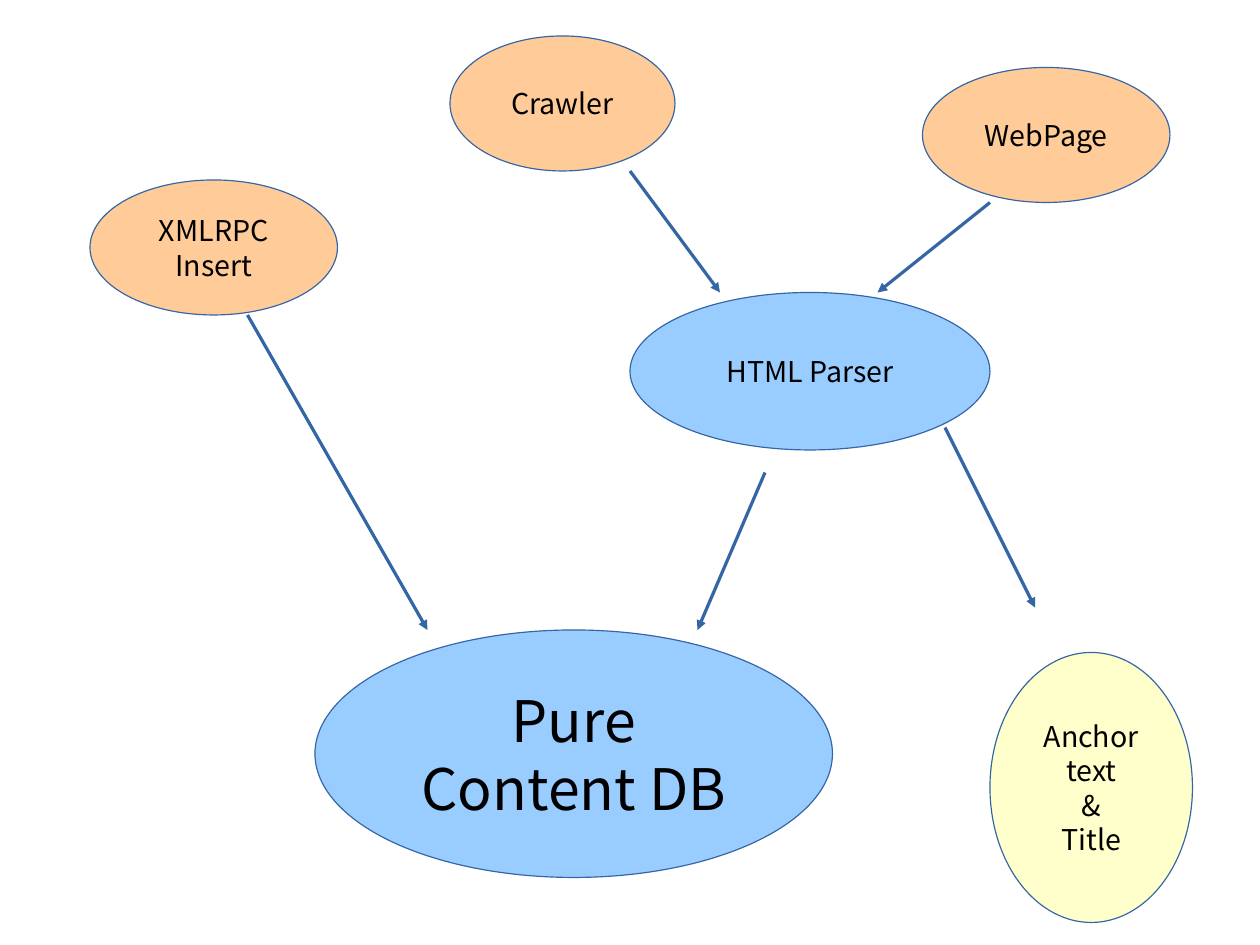
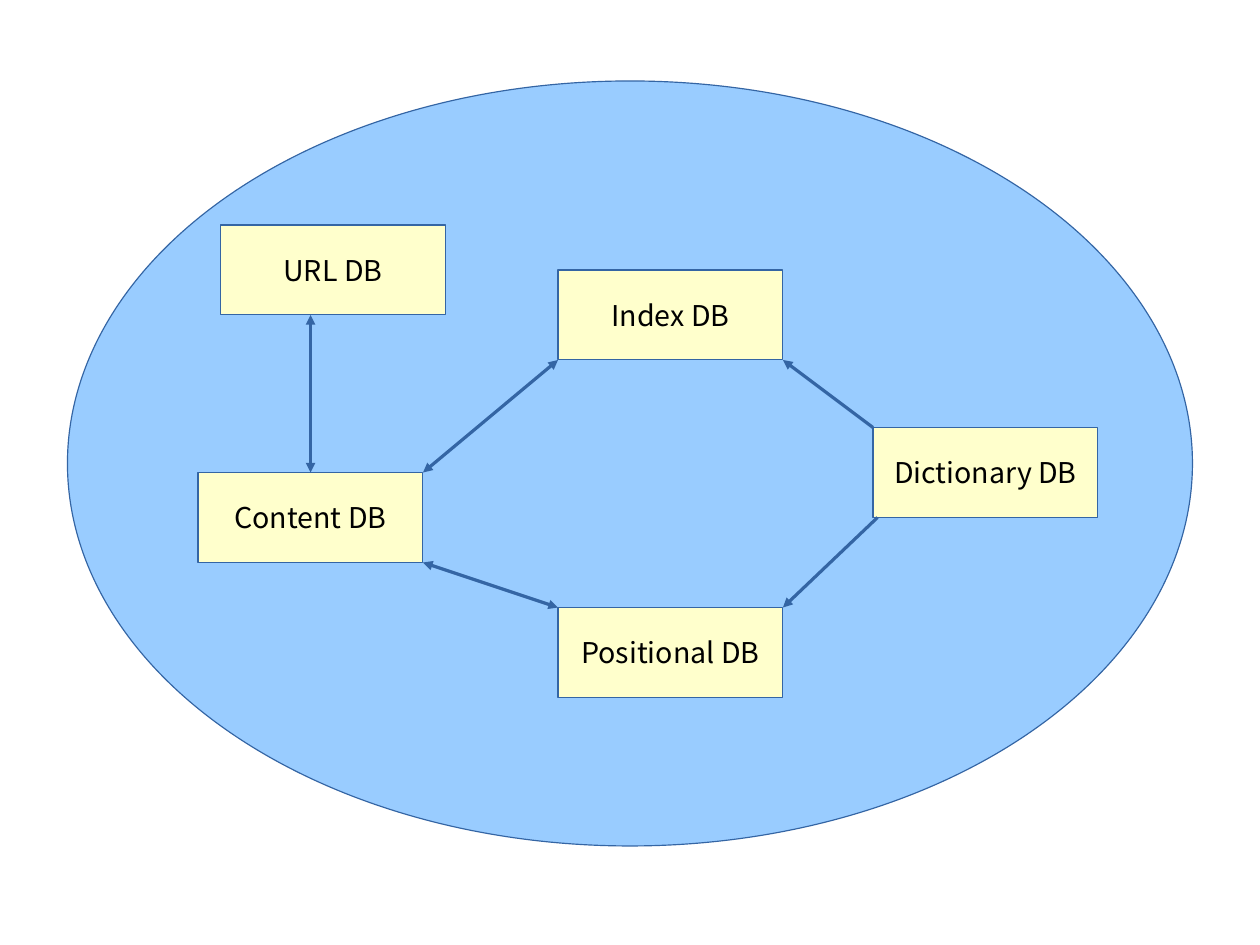
from pptx import Presentation
from pptx.dml.color import RGBColor
from pptx.enum.shapes import MSO_CONNECTOR, MSO_SHAPE
from pptx.enum.text import MSO_ANCHOR, PP_ALIGN
from pptx.oxml.ns import qn
from pptx.util import Cm, Pt
from lxml.etree import SubElement

ORANGE, BLUE, YELLOW = "FFCC99", "99CCFF", "FFFFCC"
OUTLINE, INK = "3465A4", "000000"
BOX_WIDTH, BOX_HEIGHT = 5, 2


def colour(value):
    return RGBColor.from_string(value)


def apply(target, values):
    for name, value in values.items():
        setattr(target, name, value)


class Diagram:
    frame_style = {"word_wrap": True, "vertical_anchor": MSO_ANCHOR.MIDDLE}
    font_style = {"name": "Noto Sans CJK SC"}

    def __init__(self, width, height):
        self.deck = Presentation()
        apply(self.deck, {"slide_width": Cm(width), "slide_height": Cm(height)})
        self.page = None

    def add_page(self):
        self.page = self.deck.slides.add_slide(self.deck.slide_layouts[6])

    def outline(self, line):
        line.fill.solid()
        line.fill.fore_color.rgb = colour(OUTLINE)
        line.width = Pt(0)

    def node(self, preset, place, fill, lines=(), size=18):
        box = self.page.shapes.add_shape(preset, *map(Cm, place))
        box.shadow.inherit = False
        box.fill.solid()
        box.fill.fore_color.rgb = colour(fill)
        self.outline(box.line)
        frame = box.text_frame
        apply(frame, self.frame_style)
        for index, text in enumerate(lines):
            para = frame.add_paragraph() if index else frame.paragraphs[0]
            para.alignment = PP_ALIGN.CENTER
            span = para.add_run()
            span.text = text
            apply(span.font, {**self.font_style, "size": Pt(size)})
            span.font.color.rgb = colour(INK)
        return box

    def ellipse(self, place, fill, *lines, size=18):
        return self.node(MSO_SHAPE.OVAL, place, fill, lines, size)

    def database(self, left, top, name):
        place = (left, top, BOX_WIDTH, BOX_HEIGHT)
        return self.node(MSO_SHAPE.RECTANGLE, place, YELLOW, [name])

    def arrow(self, start, end, both=False):
        arrow = self.page.shapes.add_connector(
            MSO_CONNECTOR.STRAIGHT, *map(Cm, start + end))
        self.outline(arrow.line)
        properties = arrow.line._get_or_add_ln()
        for tag in ("a:headEnd", "a:tailEnd") if both else ("a:tailEnd",):
            SubElement(properties, qn(tag), type="triangle")
        SubElement(arrow._element.spPr, qn("a:effectLst"))
        return arrow


def content_flow(diagram):
    diagram.add_page()
    diagram.ellipse((2, 4, 5.5, 3), ORANGE, "XMLRPC Insert")
    diagram.ellipse((10, 0.8, 5, 3), ORANGE, "Crawler")
    diagram.ellipse((20.5, 1.5, 5.5, 3), ORANGE, "WebPage")
    diagram.ellipse((7, 14, 11.5, 5.5), BLUE, "Pure Content DB", size=36)
    diagram.ellipse((14, 6.5, 8, 3.5), BLUE, "HTML Parser")
    diagram.ellipse((22, 14.5, 4.5, 6), YELLOW, "Anchor text", "&", "Title")
    for start, end in (
        ((5.5, 7), (9.5, 14)),
        ((14, 3.8), (16, 6.5)),
        ((22, 4.5), (19.5, 6.5)),
        ((17, 10.5), (15.5, 14)),
        ((21, 9.5), (23, 13.5)),
    ):
        diagram.arrow(start, end)


def database_links(diagram):
    diagram.add_page()
    diagram.ellipse((1.5, 1.8, 25, 17), BLUE)
    middle, content_left, content_top = 12.4, 4.4, 10.5
    index_top, positional_top = 6, 13.5
    dictionary_left, dictionary_top = 19.4, 9.5
    url_top = 5
    diagram.database(middle, positional_top, "Positional DB")
    diagram.database(middle, index_top, "Index DB")
    diagram.database(4.9, url_top, "URL DB")
    content = diagram.database(content_left, content_top, "Content DB")
    diagram.database(dictionary_left, dictionary_top, "Dictionary DB")

    middle_right = middle + BOX_WIDTH
    content_right = content_left + BOX_WIDTH
    content_centre = content_left + BOX_WIDTH / 2
    index_bottom = index_top + BOX_HEIGHT
    diagram.arrow((19.5, dictionary_top + BOX_HEIGHT),
                  (middle_right, positional_top))
    diagram.arrow((dictionary_left, dictionary_top),
                  (middle_right, index_bottom))
    url_link = diagram.arrow((content_centre, content_top),
                             (content_centre, url_top + BOX_HEIGHT), both=True)
    url_link.begin_connect(content, 0)
    diagram.arrow((middle, index_bottom), (content_right, content_top), both=True)
    diagram.arrow((middle, positional_top),
                  (content_right, content_top + BOX_HEIGHT), both=True)


def main():
    diagram = Diagram(28, 21)
    content_flow(diagram)
    database_links(diagram)
    diagram.deck.save("out.pptx")


if __name__ == "__main__":
    main()
